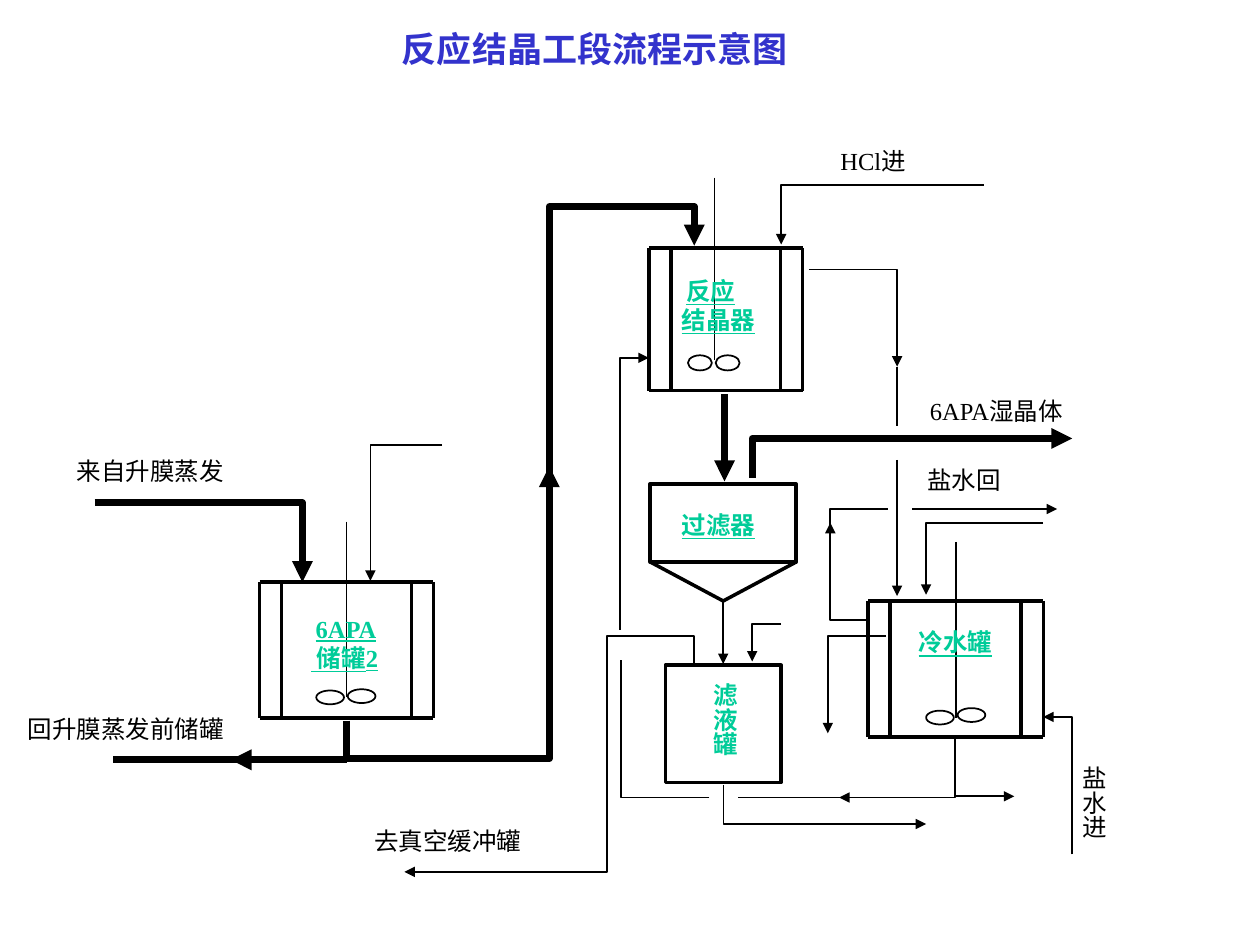
from dataclasses import dataclass

from lxml import etree
from pptx import Presentation
from pptx import util as u
from pptx.dml import color
from pptx.enum import shapes, text
from pptx.oxml import ns


@dataclass(frozen=True)
class Theme:
    font: str = "Times New Roman"
    ink: str = "000000"
    title: str = "3333CC"
    vessel: str = "00CC99"
    title_size: float = 20
    body_size: float = 14
    hair: float = 0.75
    thin: float = 1
    wall: float = 2
    main: float = 4


class Diagram:
    """Draws on a grid of 100 columns by 75 rows."""

    COLUMNS, ROWS = 100, 75
    TIGHT, ROOMY = (0.1, 0.1), (1, 0.5)

    def __init__(self, deck, theme):
        self.theme = theme
        self.cell = deck.slide_width // self.COLUMNS
        self.page = deck.slides.add_slide(deck.slide_layouts[5])

    def size(self, cells):
        return u.Emu(round(cells * self.cell))

    def outline(self, item, weight, arrow=False):
        item.line.color.rgb = color.RGBColor.from_string(self.theme.ink)
        item.line.width = u.Pt(weight)
        if arrow:
            line = item.element.spPr.find(ns.qn("a:ln"))
            etree.SubElement(line, ns.qn("a:tailEnd"), type="triangle")

    def pipe(self, *points, weight=None, arrow=True):
        """Join the points; the arrowhead sits at the last one."""
        spots = [(self.size(x), self.size(y)) for x, y in points]
        if len(spots) == 2:
            item = self.page.shapes.add_connector(shapes.MSO_CONNECTOR.STRAIGHT, *spots[0], *spots[1])
        else:
            builder = self.page.shapes.build_freeform(*spots[0])
            builder.add_line_segments(spots[1:], close=False)
            item = builder.convert_to_shape()
            item.fill.background()
        self.outline(item, weight or self.theme.thin, arrow)
        etree.SubElement(item.element.spPr, ns.qn("a:effectLst"))

    def shape(self, kind, left, top, width, height, weight):
        item = self.page.shapes.add_shape(kind, *map(self.size, (left, top, width, height)))
        item.shadow.inherit = False
        item.fill.background()
        self.outline(item, weight)

    def tank(self, left, top, right, bottom, wall, shaft, shaft_ends, blade, blade_tops):
        """Jacketed vessel with a stirrer."""
        weight = self.theme.wall
        for y in (top, bottom):
            self.pipe((left, y), (right, y), weight=weight, arrow=False)
        for x in (left, left + wall, right - wall, right):
            self.pipe((x, top), (x, bottom), weight=weight, arrow=False)
        self.pipe(*((shaft, y) for y in shaft_ends), arrow=False)
        width, height = blade
        for x, y in zip((shaft - 0.2 - width, shaft + 0.1), blade_tops):
            self.shape(shapes.MSO_SHAPE.OVAL, x, y, width, height, self.theme.thin)

    def fill_text(self, box, lines, inset, align, indent=0, **style):
        frame = box.text_frame
        across, down = map(self.size, inset)
        layout = dict(margin_left=across, margin_right=across, margin_top=down,
                      margin_bottom=down, word_wrap=True,
                      auto_size=text.MSO_AUTO_SIZE.NONE,
                      vertical_anchor=text.MSO_ANCHOR.TOP)
        for name, value in layout.items():
            setattr(frame, name, value)
        frame.text = "\n".join(lines)
        look = dict(name=self.theme.font, size=u.Pt(self.theme.body_size)) | style
        tint = look.pop("tint", self.theme.ink)
        for para in frame.paragraphs:
            para.alignment = align
            for span in para.runs:
                for name, value in look.items():
                    setattr(span.font, name, value)
                span.font.color.rgb = color.RGBColor.from_string(tint)
        if indent:
            frame.paragraphs[0]._p.get_or_add_pPr().set("indent", str(self.size(indent)))

    def label(self, place, *lines, inset=TIGHT, align=text.PP_ALIGN.JUSTIFY,
              vertical=False, **style):
        box = self.page.shapes.add_textbox(*map(self.size, place))
        self.fill_text(box, lines, inset, align, **style)
        if vertical:
            box.element.txBody.bodyPr.set("vert", "eaVert")

    def title(self, place, words):
        box = self.page.shapes.title
        for name, value in zip(("left", "top", "width", "height"), place):
            setattr(box, name, self.size(value))
        self.fill_text(box, [words], self.ROOMY, text.PP_ALIGN.LEFT, bold=True,
                       size=u.Pt(self.theme.title_size), tint=self.theme.title)


def main():
    deck = Presentation()
    deck.slide_width, deck.slide_height = u.Inches(10), u.Inches(7.5)
    theme = Theme()
    flow = Diagram(deck, theme)
    flow.title((30.9, 1.7, 33.9, 4.4), "反应结晶工段流程示意图")

    # Stirred tanks: crystalliser, cold water, 6APA store
    flow.tank(51.5, 19.7, 63.7, 31, 1.75, 56.7, (14.1, 28.6), (1.9, 1.2), (28.2, 28.2))
    flow.tank(68.9, 47.7, 82.8, 58.5, 1.75, 75.9, (43, 57), (2.2, 1.1), (56.4, 56.2))
    flow.tank(20.6, 46.2, 34.4, 57, 1.75, 27.5, (41.4, 55.3), (2.2, 1.1), (54.8, 54.7))

    # Filter with its cone, and the filtrate tank
    flow.shape(shapes.MSO_SHAPE.RECTANGLE, 51.6, 38.4, 11.6, 6.2, theme.wall)
    for edge in (51.6, 63.2):
        flow.pipe((edge, 44.6), (57.4, 47.7), weight=theme.wall, arrow=False)
    flow.shape(shapes.MSO_SHAPE.RECTANGLE, 52.8, 52.8, 9.2, 9.3, theme.wall)

    # Main product pipes
    for route in (
        [(7.5, 39.9), (24, 39.9), (24, 46.2)],
        [(27.5, 57.2), (27.5, 60.2), (43.6, 60.2), (43.6, 37)],
        [(43.6, 39.6), (43.6, 16.4), (55.1, 16.4), (55.1, 19.5)],
        [(57.5, 31.3), (57.5, 38.2)],
        [(59.7, 37.9), (59.7, 34.8), (85.1, 34.8)],
        [(27.5, 60.3), (18.3, 60.3)],
    ):
        flow.pipe(*route, weight=theme.main)
    flow.pipe((20.6, 60.3), (9, 60.3), weight=theme.main, arrow=False)

    # Service pipes with flow direction
    for route in (
        [(35.1, 35.3), (29.4, 35.3), (29.4, 46.1)],
        [(78.1, 14.7), (62, 14.7), (62, 19.4)],
        [(64.2, 21.4), (71.2, 21.4), (71.2, 29.1)],
        [(71.2, 36.5), (71.2, 47.3)],
        [(82.8, 41.5), (73.5, 41.5), (73.5, 47.2)],
        [(68.9, 49.2), (65.9, 49.2), (65.9, 41.5)],
        [(72.4, 40.4), (83.9, 40.4)],
        [(70.3, 50.5), (65.7, 50.5), (65.7, 58.2)],
        [(85.1, 67.8), (85.1, 56.9), (82.8, 56.9)],
        [(75.8, 58.6), (75.8, 63.3), (66.6, 63.3)],
        [(75.9, 63.2), (80.5, 63.2)],
        [(57.4, 47.7), (57.4, 52.7)],
        [(62, 49.5), (59.7, 49.5), (59.7, 52.5)],
        [(55.1, 52.9), (55.1, 50.5), (48.2, 50.5), (48.2, 69.2), (32.1, 69.2)],
        [(49.2, 50), (49.2, 28.4), (51.5, 28.4)],
    ):
        flow.pipe(*route)
    flow.pipe((57.4, 62.3), (57.4, 65.4), (73.5, 65.4), weight=theme.hair)

    # Plain stretches of service pipe
    for route in (
        [(71.2, 29.1), (71.2, 33.8)],
        [(65.9, 42), (65.9, 40.4), (70.5, 40.4)],
        [(67.8, 63.3), (58.6, 63.3)],
        [(56.3, 63.3), (49.3, 63.3), (49.3, 52.4)],
    ):
        flow.pipe(*route, arrow=False)

    # Vessel names
    name = dict(tint=theme.vessel, bold=True)
    lined = name | dict(underline=True)
    flow.label((54, 21.8, 8.3, 6.5), "反应", "结晶器", indent=0.35, **lined)
    flow.label((54, 40.4, 8, 3.1), "过滤器", **lined)
    flow.label((72.8, 49.7, 7.8, 6.2), "冷水罐", **lined)
    flow.label((24.6, 48.6, 7.4, 6.2), "6APA", " 储罐2", indent=0.35, **lined)
    flow.label((54.8, 54.1, 4, 7.8), "滤液罐", vertical=True, **name)

    # Stream names
    flow.label((66.6, 11.5, 7.8, 3.1), "HCl进")
    flow.label((73.7, 31.3, 13.8, 3.1), "6APA湿晶体")
    flow.label((73.5, 36.8, 9.2, 3.1), "盐水回")
    flow.label((84.4, 60.7, 3.7, 6.9), "盐水进", vertical=True)
    for place, words in (
        ((5.1, 35.7, 14.2, 3.4), "来自升膜蒸发"),
        ((1.2, 56.2, 18.9, 3.4), "回升膜蒸发前储罐"),
        ((28.7, 65.1, 18.1, 3.4), "去真空缓冲罐"),
    ):
        flow.label(place, words, inset=flow.ROOMY, align=text.PP_ALIGN.LEFT)

    deck.save("out.pptx")


if __name__ == "__main__":
    main()
